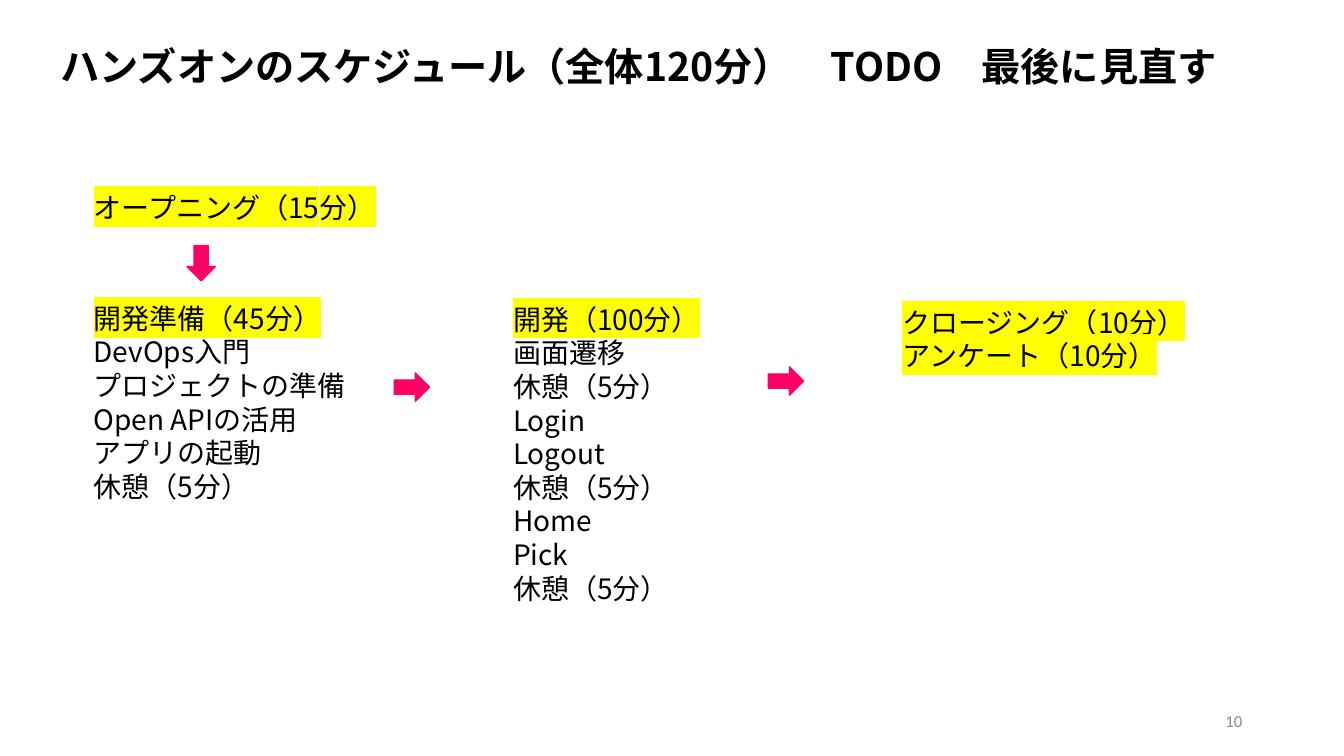
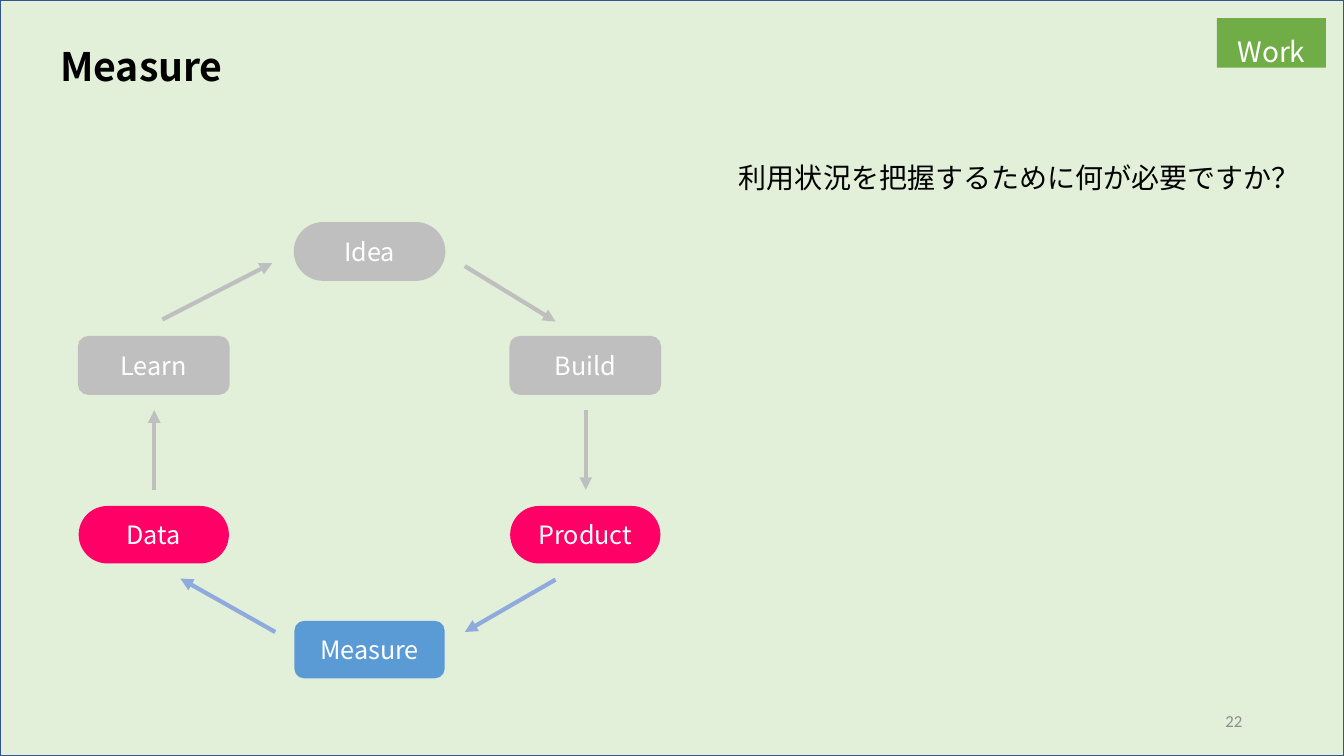
from dataclasses import dataclass

from lxml import etree
from pptx import Presentation
from pptx.dml.color import RGBColor
from pptx.enum.shapes import MSO_CONNECTOR, MSO_SHAPE
from pptx.enum.text import MSO_ANCHOR, MSO_AUTO_SIZE, PP_ALIGN
from pptx.oxml.ns import qn
from pptx.util import Inches, Pt

RECT = MSO_SHAPE.RECTANGLE
ROUNDED = MSO_SHAPE.ROUNDED_RECTANGLE
RIGHT_ARROW = MSO_SHAPE.RIGHT_ARROW
STRAIGHT = MSO_CONNECTOR.STRAIGHT
TOP, MIDDLE = MSO_ANCHOR.TOP, MSO_ANCHOR.MIDDLE
LEFT, CENTER, RIGHT = PP_ALIGN.LEFT, PP_ALIGN.CENTER, PP_ALIGN.RIGHT
GROW = MSO_AUTO_SIZE.SHAPE_TO_FIT_TEXT


@dataclass(frozen=True)
class Theme:
    font: str = "Noto Sans CJK JP"
    number_font: str = "Calibri"
    title_size: int = 28
    body_size: int = 20
    node_size: int = 18
    number_size: int = 12
    schedule_spacing: int = 24
    work_spacing: int = 32
    text: str = "000000"
    white: str = "FFFFFF"
    number: str = "8C8C8C"
    highlight: str = "FFFF00"
    accent: str = "FF0066"
    muted: str = "BFBFBF"
    measure: str = "5B9BD5"
    measure_arrow: str = "8FAADC"
    work_background: str = "E2F0D9"
    work_border: str = "325491"
    work_badge: str = "70AD47"


THEME = Theme()

NODE_SIZE = (1.49, 0.57)
NODE_COLUMNS = (0.78, 2.92, 5.06)
NODE_ROWS = (2.21, 3.34, 5.02, 6.16)

# left, top, width, height, highlighted line count, lines
SCHEDULE = [
    (0.83, 1.84, 4.01, 0.44, 1, ["オープニング（15分）"]),
    (0.83, 2.94, 3.23, 2.12, 1,
     ["開発準備（45分）", "DevOps入門", "プロジェクトの準備",
      "Open APIの活用", "アプリの起動", "休憩（5分）"]),
    (4.99, 2.95, 3.23, 3.13, 1,
     ["開発（100分）", "画面遷移", "休憩（5分）", "Login", "Logout",
      "休憩（5分）", "Home", "Pick", "休憩（5分）"]),
    (8.85, 2.98, 3.23, 0.77, 2, ["クロージング（10分）", "アンケート（10分）"]),
]
# left, top, rotation
SCHEDULE_ARROWS = [(1.82, 2.47, 90), (3.91, 3.7, 0), (7.62, 3.64, 0)]

# label, column, row, fill, is pill, has outline
CYCLE_NODES = [
    ("Idea", 1, 0, THEME.muted, True, True),
    ("Build", 2, 1, THEME.muted, False, True),
    ("Product", 2, 2, THEME.accent, True, False),
    ("Measure", 1, 3, THEME.measure, False, False),
    ("Data", 0, 2, THEME.accent, True, False),
    ("Learn", 0, 1, THEME.muted, False, True),
]
# start, end, colour
CYCLE_ARROWS = [
    ((4.61, 2.64), (5.51, 3.19), THEME.muted),
    ((5.81, 4.07), (5.81, 4.86), THEME.muted),
    ((5.51, 5.75), (4.61, 6.27), THEME.measure_arrow),
    ((2.73, 6.27), (1.79, 5.74), THEME.measure_arrow),
    ((1.53, 4.86), (1.53, 4.07), THEME.muted),
    ((1.61, 3.17), (2.7, 2.61), THEME.muted),
]


def rgb(color):
    return RGBColor.from_string(color)


def style_run(run, size, color, font, bold):
    run.font.size = Pt(size)
    run.font.bold = bold
    run.font.color.rgb = rgb(color)
    run.font.name = font
    latin = run.font._element.find(qn("a:latin"))
    east_asian = etree.Element(qn("a:ea"), typeface=font)
    latin.addnext(east_asian)


def highlight_run(run):
    """Mark the run; the highlight has to stand before the fonts."""
    mark = etree.Element(qn("a:highlight"))
    etree.SubElement(mark, qn("a:srgbClr"), val=THEME.highlight)
    run.font._element.find(qn("a:latin")).addprevious(mark)


def write_lines(shape, lines, size, color=THEME.text, font=THEME.font,
                bold=False, align=LEFT, anchor=TOP, spacing=None, highlighted=0):
    """Fill a shape with one paragraph per line, marking the first ones."""
    frame = shape.text_frame
    frame.text = "\n".join(lines)
    frame.word_wrap = True
    frame.vertical_anchor = anchor
    if anchor == TOP:
        frame.auto_size = GROW
    for index, paragraph in enumerate(frame.paragraphs):
        paragraph.alignment = align
        if spacing:
            paragraph.line_spacing = Pt(spacing)
        for run in paragraph.runs:
            style_run(run, size, color, font, bold)
            if index < highlighted:
                highlight_run(run)


def add_text(slide, box, lines, size, **style):
    text_box = slide.shapes.add_textbox(*map(Inches, box))
    write_lines(text_box, lines, size, **style)


def add_block(slide, preset, box, fill, outline=None):
    block = slide.shapes.add_shape(preset, *map(Inches, box))
    block.shadow.inherit = False
    block.fill.solid()
    block.fill.fore_color.rgb = rgb(fill)
    if outline:
        block.line.color.rgb = rgb(outline)
        block.line.width = Pt(1)
    else:
        block.line.fill.background()
    return block


def add_cycle_node(slide, label, column, row, fill, is_pill, has_outline):
    box = (NODE_COLUMNS[column], NODE_ROWS[row], *NODE_SIZE)
    node = add_block(slide, ROUNDED, box, fill, fill if has_outline else None)
    if is_pill:
        node.adjustments[0] = 0.5
    write_lines(node, [label], THEME.node_size, color=THEME.white,
                align=CENTER, anchor=MIDDLE)


def add_cycle_arrow(slide, start, end, color):
    arrow = slide.shapes.add_connector(STRAIGHT, *map(Inches, start + end))
    arrow.line.color.rgb = rgb(color)
    arrow.line.width = Pt(3)
    properties = arrow._element.spPr
    etree.SubElement(properties.find(qn("a:ln")), qn("a:tailEnd"), type="triangle")
    etree.SubElement(properties, qn("a:effectLst"))


def add_work_frame(slide):
    add_block(slide, RECT, (0, 0, 13.33, 7.5), THEME.work_background,
              THEME.work_border)
    badge = add_block(slide, RECT, (12.07, 0.18, 1.08, 0.49), THEME.work_badge)
    write_lines(badge, ["Work"], THEME.body_size, color=THEME.white,
                align=CENTER, spacing=THEME.work_spacing)


def add_slide(deck, title, number, is_work=False):
    slide = deck.slides.add_slide(deck.slide_layouts[6])
    if is_work:
        add_work_frame(slide)
    add_text(slide, (0.5, 0.37, 12.05, 0.57), [title], THEME.title_size, bold=True)
    add_text(slide, (9.42, 6.95, 3, 0.4), [number], THEME.number_size,
             color=THEME.number, font=THEME.number_font, align=RIGHT, anchor=MIDDLE)
    return slide


def build_schedule(deck):
    slide = add_slide(deck, "ハンズオンのスケジュール（全体120分）　TODO　最後に見直す", "10")
    for *box, highlighted, lines in SCHEDULE:
        add_text(slide, box, lines, THEME.body_size,
                 spacing=THEME.schedule_spacing, highlighted=highlighted)
    for left, top, rotation in SCHEDULE_ARROWS:
        arrow = add_block(slide, RIGHT_ARROW, (left, top, 0.35, 0.28),
                          THEME.accent, THEME.accent)
        arrow.rotation = rotation


def build_measure(deck):
    slide = add_slide(deck, "Measure", "22", is_work=True)
    add_text(slide, (7.23, 1.43, 5.78, 0.49),
             ["利用状況を把握するために何が必要ですか？"],
             THEME.body_size, spacing=THEME.work_spacing)
    for node in CYCLE_NODES:
        add_cycle_node(slide, *node)
    for arrow in CYCLE_ARROWS:
        add_cycle_arrow(slide, *arrow)


def main():
    deck = Presentation()
    deck.slide_width, deck.slide_height = Inches(13.33), Inches(7.5)
    build_schedule(deck)
    build_measure(deck)
    deck.save("out.pptx")


if __name__ == "__main__":
    main()
